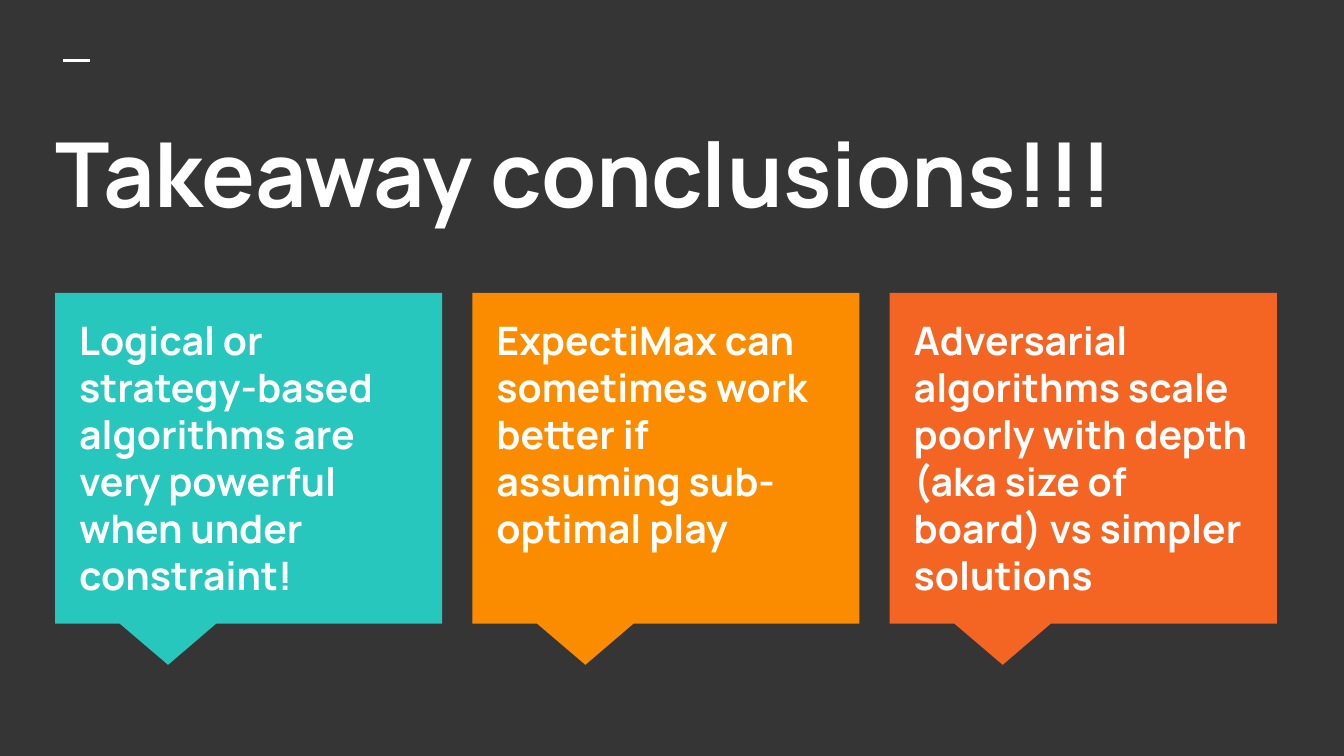
from typing import NamedTuple

from lxml import etree
from pptx import Presentation
from pptx.dml.color import RGBColor
from pptx.enum.shapes import MSO_CONNECTOR, MSO_SHAPE
from pptx.enum.text import MSO_ANCHOR, MSO_AUTO_SIZE, PP_ALIGN
from pptx.oxml.ns import qn
from pptx.util import Inches, Pt

CALLOUT = MSO_SHAPE.RECTANGULAR_CALLOUT
LINE = MSO_CONNECTOR.STRAIGHT
TOP = MSO_ANCHOR.TOP
LEFT = PP_ALIGN.LEFT
FIXED = MSO_AUTO_SIZE.NONE

FONT = "Manrope"
WHITE = "FFFFFF"
DARK = "353535"

# Page in 16:9
PAGE_W = Inches(10)
PAGE_H = PAGE_W * 9 // 16

# Card row: left edge, right edge, top, card width and height
ROW_L, ROW_R, ROW_T = 0.41, 9.5, 2.18
CARD_W, CARD_H = 2.88, 2.46
PAD = 0.08


class Card(NamedTuple):
    fill: str
    text: str


CARDS = [
    Card("27C7BD", "Logical or strategy-based algorithms are very powerful "
                   "when under constraint!"),
    Card("FB8C00", "ExpectiMax can sometimes work better if assuming "
                   "sub-optimal play"),
    Card("F46524", "Adversarial algorithms scale poorly with depth "
                   "(aka size of board) vs simpler solutions"),
]
STEP = (ROW_R - ROW_L - CARD_W) / (len(CARDS) - 1)


def color(code: str) -> RGBColor:
    return RGBColor.from_string(code)


def apply(item, style: dict) -> None:
    for name, value in style.items():
        setattr(item, name, value)


def write(shape, text: str, size: float, after: float = 0) -> None:
    frame = shape.text_frame
    pad = Inches(0.1)
    apply(frame, {"word_wrap": True, "auto_size": FIXED,
                  "vertical_anchor": TOP, "margin_left": pad,
                  "margin_right": pad, "margin_top": pad,
                  "margin_bottom": pad})
    para = frame.paragraphs[0]
    apply(para, {"alignment": LEFT, "space_after": Pt(after)})
    run = para.add_run()
    run.text = text
    apply(run.font, {"name": FONT, "size": Pt(size), "bold": True})
    run.font.color.rgb = color(WHITE)


def draw(slide, card: Card, left: float) -> None:
    # Callout behind the words
    box = slide.shapes.add_shape(CALLOUT, Inches(left), Inches(ROW_T),
                                 Inches(CARD_W), Inches(CARD_H))
    box.shadow.inherit = False
    box.adjustments[0] = -0.208
    box.adjustments[1] = 0.625
    box.fill.solid()
    box.fill.fore_color.rgb = color(card.fill)
    box.line.fill.background()

    # Words of the card
    label = slide.shapes.add_textbox(Inches(left + PAD), Inches(2.25),
                                     Inches(2.71), Inches(2.19))
    write(label, card.text, 21, 12)


deck = Presentation()
apply(deck, {"slide_width": PAGE_W, "slide_height": PAGE_H})
slide = deck.slides.add_slide(deck.slide_layouts[5])
slide.background.fill.solid()
slide.background.fill.fore_color.rgb = color(DARK)

# Short accent line
dash = slide.shapes.add_connector(LINE, Inches(0.47), Inches(0.45),
                                  Inches(0.67), Inches(0.45))
dash.line.color.rgb = color(WHITE)
dash.line.width = Pt(1.5)
etree.SubElement(dash._element.spPr, qn("a:effectLst"))

# Title
title = slide.shapes.title
apply(title, {"left": Inches(0.31), "top": Inches(0.78),
              "width": Inches(9.43), "height": Inches(1.12)})
write(title, "Takeaway conclusions!!!", 48)

# Cards
for i, card in enumerate(CARDS):
    draw(slide, card, ROW_L + i * STEP)

deck.save("out.pptx")
